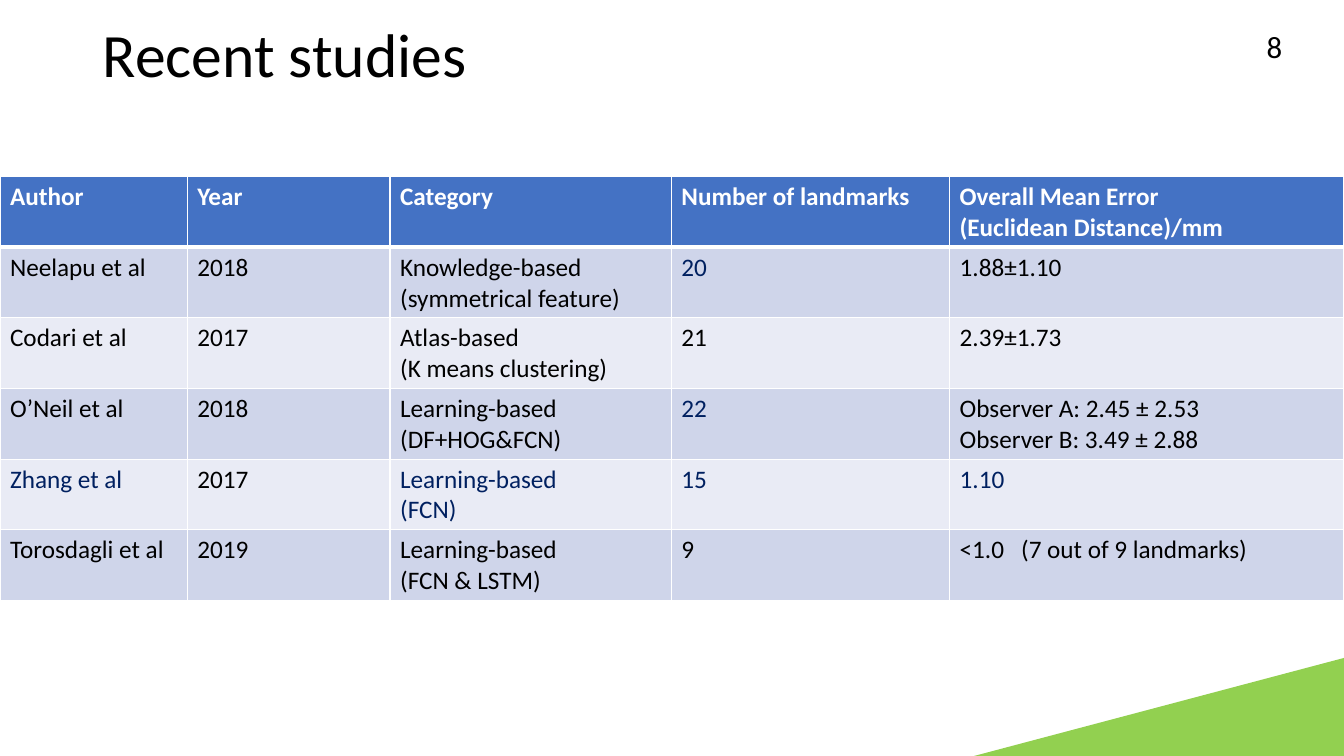
from lxml.etree import SubElement
from pptx import Presentation
from pptx.dml.color import RGBColor
from pptx.enum.text import MSO_ANCHOR as Anchor
from pptx.oxml.ns import qn
from pptx.util import Cm, Pt

BLACK = RGBColor(0x00, 0x00, 0x00)
WHITE = RGBColor(0xFF, 0xFF, 0xFF)
NAVY = RGBColor(0x00, 0x20, 0x60)
BLUE = RGBColor(0x44, 0x72, 0xC4)
BAND_DARK = RGBColor(0xCF, 0xD5, 0xEA)
BAND_LIGHT = RGBColor(0xE9, 0xEB, 0xF5)
GREEN = RGBColor(0x92, 0xD0, 0x50)

SLIDE_WIDTH, SLIDE_HEIGHT = 33.87, 19.05
COLUMN_WIDTHS = [4.72, 5.11, 7.09, 7.01, 9.94]
ROW_HEIGHT = 1.78
REMARK_TAB = 1.55

STUDIES = [
    ["Author", "Year", "Category", "Number of landmarks",
     "Overall Mean Error\n(Euclidean Distance)/mm"],
    ["Neelapu et al", "2018", "Knowledge-based\n(symmetrical feature)", "20", "1.88±1.10"],
    ["Codari et al", "2017", "Atlas-based\n(K means clustering)", "21", "2.39±1.73"],
    ["O’Neil et al", "2018", "Learning-based\n(DF+HOG&FCN)", "22",
     "Observer A: 2.45 ± 2.53\nObserver B: 3.49 ± 2.88"],
    ["Zhang et al", "2017", "Learning-based\n(FCN)", "15", "1.10"],
    ["Torosdagli et al", "2019", "Learning-based\n(FCN & LSTM)", "9",
     "<1.0\t(7 out of 9 landmarks)"],
]
NAVY_CELLS = {(1, 3), (3, 3), (4, 0), (4, 2), (4, 3), (4, 4)}


class StudySlide:
    """Draws the elements of one slide in a shared style."""

    font_name = "Calibri"

    def __init__(self, deck):
        self.slide = deck.slides.add_slide(deck.slide_layouts[6])
        self.shapes = self.slide.shapes

    def fill_text(self, frame, words, size, color, bold=False, spacing=None):
        frame.word_wrap = True
        frame.text = words
        style = {"name": self.font_name, "size": Pt(size), "bold": bold}
        for paragraph in frame.paragraphs:
            if "\t" in paragraph.text:
                tabs = SubElement(paragraph._p.get_or_add_pPr(), qn("a:tabLst"))
                SubElement(tabs, qn("a:tab"), pos=str(Cm(REMARK_TAB)), algn="l")
            if spacing:
                paragraph.line_spacing = spacing
            for run in paragraph.runs:
                for attribute, value in style.items():
                    setattr(run.font, attribute, value)
                run.font.color.rgb = color

    def text(self, words, box, size, anchor=Anchor.TOP, spacing=None):
        frame = self.shapes.add_textbox(*map(Cm, box)).text_frame
        frame.vertical_anchor = anchor
        self.fill_text(frame, words, size, BLACK, spacing=spacing)

    def polygon(self, points, color):
        start, *others = [(Cm(x), Cm(y)) for x, y in points]
        builder = self.shapes.build_freeform(*start)
        builder.add_line_segments(others, close=True)
        corner = builder.convert_to_shape()
        corner.shadow.inherit = False
        corner.fill.solid()
        corner.fill.fore_color.rgb = color
        corner.line.fill.background()

    def borders(self, cell, widths):
        properties = cell._tc.get_or_add_tcPr()
        for side, width in widths.items():
            edge = SubElement(properties, qn(f"a:ln{side}"), w=str(Pt(width)))
            SubElement(SubElement(edge, qn("a:solidFill")), qn("a:srgbClr"), val=str(WHITE))

    def table(self, rows, left, top):
        size = Cm(sum(COLUMN_WIDTHS)), Cm(ROW_HEIGHT * len(rows))
        grid = self.shapes.add_table(
            len(rows), len(COLUMN_WIDTHS), Cm(left), Cm(top), *size).table
        for column, width in zip(grid.columns, COLUMN_WIDTHS):
            column.width = Cm(width)
        for r, values in enumerate(rows):
            grid.rows[r].height = Cm(ROW_HEIGHT)
            header = r == 0
            band = BLUE if header else BAND_DARK if r % 2 else BAND_LIGHT
            for c, value in enumerate(values):
                cell = grid.cell(r, c)
                self.borders(cell, {"L": 1, "R": 1, "T": 3 if r == 1 else 1,
                                    "B": 3 if header else 1})
                cell.fill.solid()
                cell.fill.fore_color.rgb = band
                color = WHITE if header else NAVY if (r, c) in NAVY_CELLS else BLACK
                self.fill_text(cell.text_frame, value, 18, color, bold=header)


def main():
    deck = Presentation()
    deck.slide_width, deck.slide_height = Cm(SLIDE_WIDTH), Cm(SLIDE_HEIGHT)
    page = StudySlide(deck)
    page.polygon([(SLIDE_WIDTH, 16.58), (24.55, SLIDE_HEIGHT), (SLIDE_WIDTH, SLIDE_HEIGHT)], GREEN)
    page.text("8", (31.67, 0.58, 2.18, 1.19), 22)
    page.text("Recent studies", (2.34, 0.48, 15.54, 1.93), 44, Anchor.MIDDLE, 0.9)
    page.table(STUDIES, 0, 4.45)
    deck.save("out.pptx")


if __name__ == "__main__":
    main()
